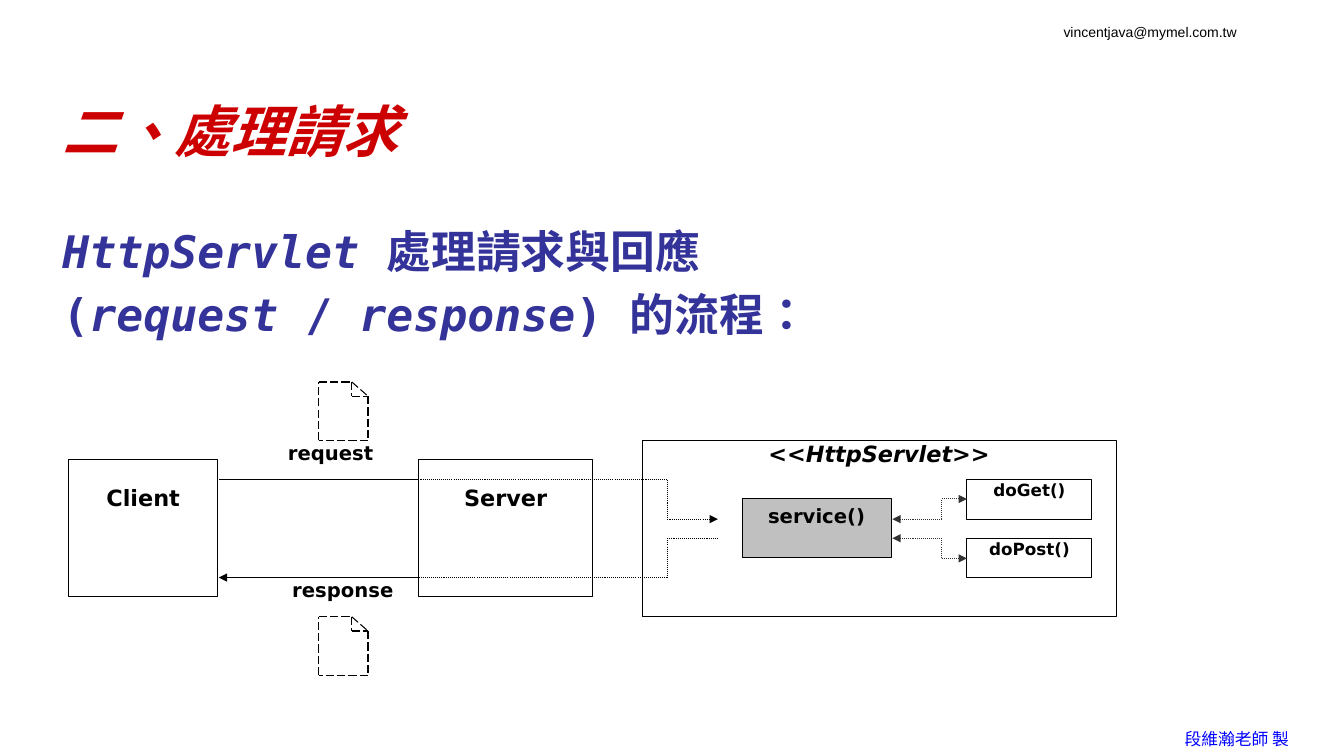
from dataclasses import dataclass
from itertools import pairwise
from typing import NamedTuple

from lxml import etree
from pptx import Presentation
from pptx import util as u
from pptx.dml import color
from pptx.enum import dml, lang, shapes, text
from pptx.oxml import ns

EMU_PER_PX = 9144  # 100 px to the inch
MONO, SANS, CJK = "DejaVu Sans Mono", "DejaVu Sans", "Noto Sans CJK TC"
BLACK, GREY, WHITE = "000000", "333333", "FFFFFF"
LEFT, CENTER = text.PP_ALIGN.LEFT, text.PP_ALIGN.CENTER
DOTTED, DASHED = dml.MSO_LINE.ROUND_DOT, dml.MSO_LINE.LONG_DASH


class Run(NamedTuple):
    words: str
    italic: bool = False


@dataclass
class Style:
    size: int
    font: str = SANS
    color: str = BLACK
    bold: bool = True
    align: text.PP_ALIGN = CENTER
    space_between: float = 0


@dataclass
class Box:
    at: tuple[int, int, int, int]
    paragraphs: list[list[Run]]
    style: Style
    inset: tuple[int, int] = (0, 0)
    fill: str | None = None
    wrap: bool = True


@dataclass
class Route:
    """A chain of straight lines; arrows may sit at either end."""
    points: list[tuple[int, int]]
    dash: dml.MSO_LINE | None = None
    color: str = BLACK
    start_arrow: bool = False
    end_arrow: bool = False


HEADING = Box((52, 67, 1089, 125), [[Run("二、處理請求", True)]],
              Style(40, MONO, "CC0000", align=LEFT), (10, 5))
NAME = Style(16)
METHOD = Style(12)
LABEL = Style(14)
BOXES = [
    Box((1045, 18, 190, 27), [[Run("vincentjava@mymel.com.tw")]],
        Style(10, "Arial", bold=False, align=LEFT), (10, 5), wrap=False),
    Box((1165, 718, 125, 30), [[Run("段維瀚老師 製")]],
        Style(12, CJK, "0000FF", bold=False, align=LEFT), (10, 5), wrap=False),
    Box((52, 217, 1039, 127),
        [[Run("HttpServlet ", True), Run("處理請求與回應")],
         [Run("("), Run("request", True), Run(" / "),
          Run("response", True), Run(") 的流程：")]],
        Style(32, MONO, "333399", align=LEFT, space_between=6.4), (10, 5)),
    Box((68, 456, 148, 136), [[Run("Client")]], NAME, (10, 24), WHITE),
    Box((415, 456, 173, 136), [[Run("Server")]], NAME, (10, 24), WHITE),
    Box((637, 437, 470, 175), [[Run("<<HttpServlet>>", True)]], NAME, (10, 0), WHITE),
    Box((736, 495, 148, 58), [[Run("service()")]], LABEL, (0, 5), "C0C0C0"),
    Box((266, 437, 124, 39), [[Run("request")]], LABEL),
    Box((266, 573, 148, 39), [[Run("response")]], LABEL),
    Box((959, 476, 124, 39), [[Run("doGet()")]], METHOD, fill=WHITE),
    Box((959, 534, 124, 39), [[Run("doPost()")]], METHOD, fill=WHITE),
]


def page_icon(left: int, top: int) -> list[Route]:
    outline = [(0, 0), (33, 0), (49, 14), (49, 58), (0, 58), (0, 0)]
    fold = [(33, 0), (33, 14), (49, 14)]
    return [Route([(left + x, top + y) for x, y in points], DASHED)
            for points in (outline, fold)]


ROUTES = [
    *page_icon(316, 379),
    *page_icon(316, 612),
    Route([(217, 476), (415, 476)]),
    Route([(415, 476), (662, 476), (662, 515), (712, 515)], DOTTED, end_arrow=True),
    Route([(712, 534), (662, 534), (662, 573), (415, 573)], DOTTED),
    Route([(415, 573), (217, 573)], end_arrow=True),
    Route([(885, 515), (934, 515), (934, 495), (959, 495)], DOTTED, GREY, True, True),
    Route([(885, 534), (934, 534), (934, 554), (959, 554)], DOTTED, GREY, True, True),
]


def px(length: int) -> u.Emu:
    return u.Emu(length * EMU_PER_PX)


def rgb(value: str) -> color.RGBColor:
    return color.RGBColor.from_string(value)


def apply(target, values: dict) -> None:
    for name, value in values.items():
        setattr(target, name, value)


def write(frame, box: Box, anchor=text.MSO_ANCHOR.TOP) -> None:
    style = box.style
    across, down = map(px, box.inset)
    apply(frame, {"word_wrap": box.wrap, "auto_size": text.MSO_AUTO_SIZE.NONE,
                  "vertical_anchor": anchor,
                  "margin_left": across, "margin_right": across,
                  "margin_top": down, "margin_bottom": down})
    for index, runs in enumerate(box.paragraphs):
        paragraph = frame.add_paragraph() if index else frame.paragraphs[0]
        paragraph.alignment = style.align
        paragraph.space_before = u.Pt(style.space_between if index else 0)
        for words, italic in runs:
            run = paragraph.add_run()
            run.text = words
            apply(run.font, {"name": style.font, "size": u.Pt(style.size),
                             "bold": style.bold, "italic": italic,
                             "language_id": lang.MSO_LANGUAGE_ID.TRADITIONAL_CHINESE})
            run.font.color.rgb = rgb(style.color)
            east_asian = etree.SubElement(run.font._element, ns.qn("a:ea"))
            east_asian.set("typeface", style.font)


def draw_box(slide, box: Box) -> None:
    place = map(px, box.at)
    if box.fill is None:
        shape = slide.shapes.add_textbox(*place)
    else:
        shape = slide.shapes.add_shape(shapes.MSO_SHAPE.RECTANGLE, *place)
        shape.shadow.inherit = False
        shape.fill.solid()
        shape.fill.fore_color.rgb = rgb(box.fill)
        shape.line.color.rgb = rgb(BLACK)
        shape.line.width = u.Pt(0.75)
    write(shape.text_frame, box)


def draw_route(slide, route: Route) -> None:
    segments = list(pairwise(route.points))
    for index, (start, end) in enumerate(segments):
        connector = slide.shapes.add_connector(
            shapes.MSO_CONNECTOR.STRAIGHT, *map(px, start + end))
        connector.line.color.rgb = rgb(route.color)
        apply(connector.line, {"width": u.Pt(0.75), "dash_style": route.dash})
        outline = connector.line._get_or_add_ln()
        arrows = {"a:headEnd": route.start_arrow and index == 0,
                  "a:tailEnd": route.end_arrow and index == len(segments) - 1}
        for tag, shown in arrows.items():
            if shown:
                etree.SubElement(outline, ns.qn(tag)).set("type", "triangle")
        etree.SubElement(connector._element.spPr, ns.qn("a:effectLst"))


def main() -> None:
    presentation = Presentation()
    apply(presentation, {"slide_width": px(1333), "slide_height": px(750)})
    slide = presentation.slides.add_slide(presentation.slide_layouts[5])
    title = slide.shapes.title
    apply(title, dict(zip(("left", "top", "width", "height"), map(px, HEADING.at))))
    write(title.text_frame, HEADING, text.MSO_ANCHOR.MIDDLE)
    for box in BOXES:
        draw_box(slide, box)
    for route in ROUTES:
        draw_route(slide, route)
    presentation.save("out.pptx")


if __name__ == "__main__":
    main()
